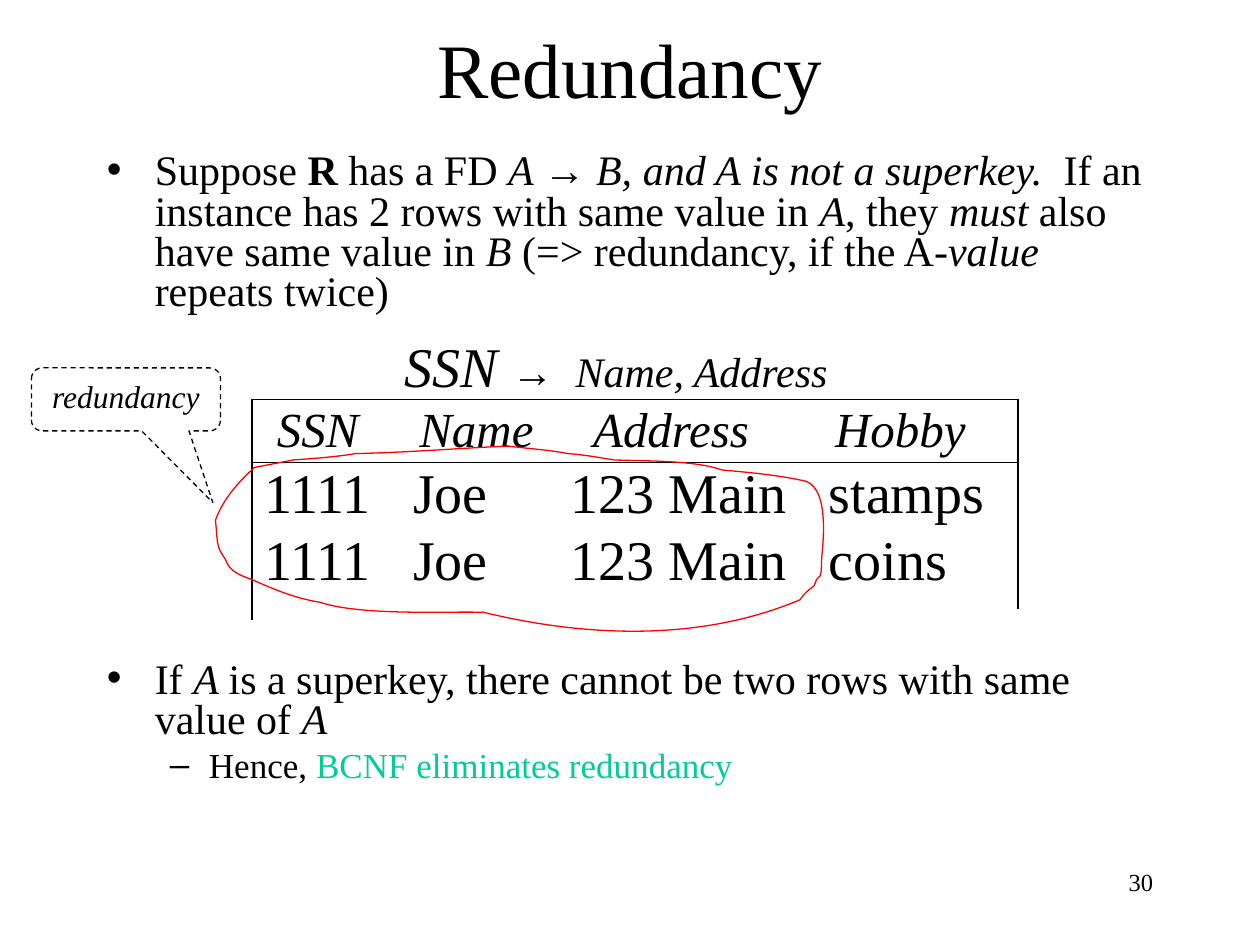
from lxml.etree import SubElement
from pptx import Presentation
from pptx.dml.color import RGBColor
from pptx.enum.dml import MSO_LINE
from pptx.enum.shapes import MSO_CONNECTOR, MSO_SHAPE
from pptx.enum.text import MSO_ANCHOR, MSO_AUTO_SIZE, PP_ALIGN
from pptx.oxml.ns import qn
from pptx.util import Inches, Pt

BLACK = RGBColor(0, 0, 0)
RED = RGBColor(0xFF, 0, 0)
GREEN = RGBColor(0x00, 0xCC, 0x99)


def add_text(paragraph, text, size=24, italic=False, bold=False, color=BLACK, name="Times New Roman"):
    run = paragraph.add_run()
    run.text = text
    run.font.size = Pt(size)
    run.font.italic = italic
    run.font.bold = bold
    run.font.color.rgb = color
    run.font.name = name


def set_bullet(paragraph, char, margin, hanging):
    properties = paragraph._p.get_or_add_pPr()
    properties.set("marL", str(Inches(margin)))
    properties.set("indent", str(-Inches(hanging)))
    SubElement(properties, qn("a:buFont")).set("typeface", "Arial")
    SubElement(properties, qn("a:buChar")).set("char", char)
    paragraph.line_spacing = 0.8


prs = Presentation()
prs.slide_width, prs.slide_height = Inches(10), Inches(7.5)
slide = prs.slides.add_slide(prs.slide_layouts[5])
shapes = slide.shapes

title = shapes.title
title.left, title.top, title.width, title.height = Inches(0.75), Inches(0.25), Inches(8.5), Inches(0.58)
title.text_frame.auto_size = MSO_AUTO_SIZE.NONE
title.text_frame.vertical_anchor = MSO_ANCHOR.MIDDLE
heading = title.text_frame.paragraphs[0]
heading.alignment = PP_ALIGN.CENTER
add_text(heading, "Redundancy", size=44)

page = shapes.add_textbox(Inches(7.17), Inches(6.83), Inches(2.08), Inches(0.5)).text_frame
page.word_wrap = True
page.paragraphs[0].alignment = PP_ALIGN.RIGHT
add_text(page.paragraphs[0], "30", size=14)

body = shapes.add_textbox(Inches(0.75), Inches(1.17), Inches(8.58), Inches(5.58)).text_frame
body.word_wrap = True
supposition = body.paragraphs[0]
set_bullet(supposition, "•", 0.38, 0.38)
add_text(supposition, "Suppose ")
add_text(supposition, "R", bold=True)
add_text(supposition, " has a FD ")
add_text(supposition, "A ", italic=True)
add_text(supposition, "→", name="Arial")
add_text(supposition, " B, and A is not a superkey.  ", italic=True)
add_text(supposition, "If an instance has 2 rows with same value in ")
add_text(supposition, "A", italic=True)
add_text(supposition, ", they ")
add_text(supposition, "must ", italic=True)
add_text(supposition, "also have same value in ")
add_text(supposition, "B", italic=True)
add_text(supposition, " (=> redundancy, if the A-")
add_text(supposition, "value", italic=True)
add_text(supposition, " repeats twice)")

superkey = body.add_paragraph()
set_bullet(superkey, "•", 0.38, 0.38)
superkey.space_before = Pt(198.5)
add_text(superkey, "If ")
add_text(superkey, "A ", italic=True)
add_text(superkey, "is a superkey, there cannot be two rows with same value of ")
add_text(superkey, "A", italic=True)

conclusion = body.add_paragraph()
conclusion.level = 1
set_bullet(conclusion, "–", 0.81, 0.31)
conclusion.space_before = Pt(5)
add_text(conclusion, "Hence, ", size=20)
add_text(conclusion, "BCNF eliminates redundancy", size=20, color=GREEN)

relation = shapes.add_textbox(Inches(2), Inches(2.58), Inches(5.97), Inches(2.17)).text_frame
relation.word_wrap = True
DATA_STOPS = [1.18, 2.43, 4.48]
relation_rows = [
    ([1.11, 2.47], [("\tSSN ", 32, True, "Times New Roman"), ("→", 24, True, "Arial"),
                    ("\tName, Address", 24, True, "Times New Roman")]),
    ([0.1, 1.23, 2.61, 4.53], [("\tSSN\tName\tAddress\tHobby", 28, True, "Times New Roman")]),
    (DATA_STOPS, [("1111\tJoe\t123 Main\tstamps", 32, False, "Times New Roman")]),
    (DATA_STOPS, [("1111\tJoe\t123 Main\tcoins", 32, False, "Times New Roman")]),
]
for index, (stops, pieces) in enumerate(relation_rows):
    row = relation.add_paragraph() if index else relation.paragraphs[0]
    tab_list = SubElement(row._p.get_or_add_pPr(), qn("a:tabLst"))
    for stop in stops:
        tab = SubElement(tab_list, qn("a:tab"))
        tab.set("pos", str(Inches(stop)))
        tab.set("algn", "l")
    for text, size, italic, name in pieces:
        add_text(row, text, size=size, italic=italic, name=name)

LEFT, RIGHT, TOP = 2, 8.08, 3.17
for x1, y1, x2, y2 in [
    (LEFT, TOP, RIGHT, TOP),
    (LEFT, TOP + 0.5, RIGHT, TOP + 0.5),
    (LEFT, TOP, LEFT, 4.92),
    (RIGHT, TOP, RIGHT, 4.83),
]:
    rule = shapes.add_connector(MSO_CONNECTOR.STRAIGHT, Inches(x1), Inches(y1), Inches(x2), Inches(y2))
    rule.line.color.rgb = BLACK
    rule.line.width = Pt(0.75)
    SubElement(rule._element.spPr, qn("a:effectLst"))

LOOP_START = (6.4, 3.82)
LOOP_CURVES = [
    ((6.18, 3.77), (5.95, 3.75), (5.73, 3.73)),
    ((5.51, 3.65), (5.09, 3.66), (4.87, 3.65)),
    ((4.75, 3.63), (4.64, 3.61), (4.51, 3.6)),
    ((4.35, 3.57), (4.19, 3.56), (4.03, 3.54)),
    ((3.6, 3.56), (3.25, 3.59), (2.82, 3.6)),
    ((2.66, 3.63), (2.33, 3.65), (2.33, 3.65)),
    ((2.23, 3.67), (2.12, 3.69), (2.02, 3.71)),
    ((1.89, 3.83), (1.77, 3.96), (1.71, 4.13)),
    ((1.73, 4.3), (1.71, 4.33), (1.79, 4.44)),
    ((1.82, 4.54), (1.92, 4.57), (2, 4.6)),
    ((2.18, 4.68), (2.35, 4.75), (2.54, 4.78)),
    ((2.87, 4.89), (3.56, 4.85), (3.84, 4.86)),
    ((4.66, 5.06), (5.57, 5.09), (6.35, 4.76)),
    ((6.38, 4.71), (6.41, 4.69), (6.46, 4.65)),
    ((6.47, 4.64), (6.47, 4.62), (6.48, 4.6)),
    ((6.48, 4.59), (6.5, 4.59), (6.51, 4.57)),
    ((6.52, 4.54), (6.52, 4.5), (6.52, 4.46)),
    ((6.52, 4.39), (6.6, 3.9), (6.4, 3.82)),
]
builder = shapes.build_freeform(Inches(LOOP_START[0]), Inches(LOOP_START[1]))
builder.add_line_segments([(Inches(x), Inches(y)) for curve in LOOP_CURVES for x, y in curve], close=True)
loop = builder.convert_to_shape()
segments = list(loop._element.iter(qn("a:lnTo")))
for index in range(0, len(LOOP_CURVES) * 3, 3):
    first, second, end = segments[index:index + 3]
    first.tag = qn("a:cubicBezTo")
    for segment in (second, end):
        first.append(segment[0])
        segment.getparent().remove(segment)
loop.shadow.inherit = False
loop.fill.background()
loop.line.color.rgb = RED
loop.line.width = Pt(0.75)

callout = shapes.add_shape(
    MSO_SHAPE.ROUNDED_RECTANGULAR_CALLOUT, Inches(0.25), Inches(2.92), Inches(1.5), Inches(0.5))
for index, value in enumerate([0.46, 1.64, 0.17]):
    callout.adjustments[index] = value
callout.shadow.inherit = False
callout.fill.background()
callout.line.color.rgb = BLACK
callout.line.width = Pt(0.75)
callout.line.dash_style = MSO_LINE.DASH
callout.text_frame.word_wrap = True
callout.text_frame.vertical_anchor = MSO_ANCHOR.TOP
callout_label = callout.text_frame.paragraphs[0]
callout_label.alignment = PP_ALIGN.CENTER
add_text(callout_label, "redundancy", size=18, italic=True)

prs.save("out.pptx")
